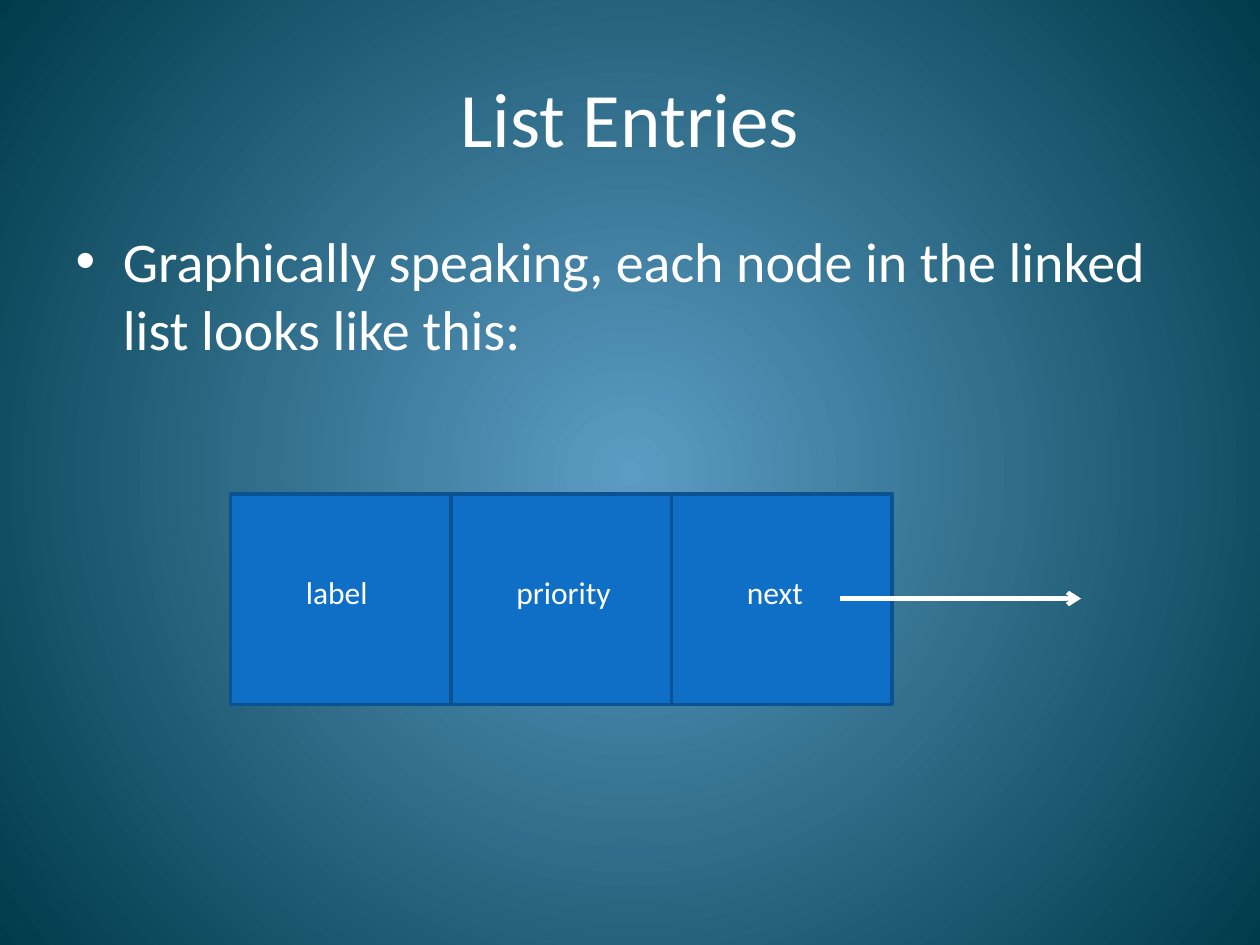
from lxml.etree import SubElement
from pptx import Presentation
from pptx.dml.color import RGBColor
from pptx.enum.shapes import MSO_CONNECTOR as Connector, MSO_SHAPE as Shape
from pptx.enum.text import MSO_ANCHOR as Anchor, MSO_AUTO_SIZE as AutoSize, PP_ALIGN as Align
from pptx.oxml.ns import qn
from pptx.util import Inches, Pt

FONT = "Calibri"
WHITE = "FFFFFF"
CELL_FILL = "0F6FC6"
CELL_LINE = "0B5292"
GLOW_CENTER = "5C9CC4"
GLOW_EDGE = "003B4B"

CELL_LEFT, CELL_TOP = 1.83, 3.92
CELL_WIDTH, CELL_HEIGHT = 1.75, 1.67
LABEL_TOP, LABEL_HEIGHT = 4.5, 0.4
# Each field of the node: name, label left, label width
FIELDS = [("label", 2.33, 0.7), ("priority", 4, 0.96), ("next", 5.83, 0.65)]


def color(hex_string):
    return RGBColor.from_string(hex_string)


def place(shape, left, top, width, height):
    shape.left, shape.top = Inches(left), Inches(top)
    shape.width, shape.height = Inches(width), Inches(height)


def add_run(paragraph, text, size):
    run = paragraph.add_run()
    run.text = text
    run.font.name = FONT
    run.font.size = Pt(size)
    run.font.color.rgb = color(WHITE)


def set_radial_background(slide, center, edge):
    fill = slide.background.fill
    fill.gradient()
    for stop, hex_string in zip(fill.gradient_stops, (center, edge)):
        stop.color.rgb = color(hex_string)
    # Swap the linear direction for a circle around the middle
    gradient = slide.element.find(".//" + qn("a:gradFill"))
    linear = gradient.find(qn("a:lin"))
    if linear is not None:
        gradient.remove(linear)
    circle = SubElement(gradient, qn("a:path"), {"path": "circle"})
    sides = {side: "50000" for side in "ltrb"}
    SubElement(circle, qn("a:fillToRect"), sides)


def fill_title(slide, text):
    title = slide.shapes.title
    place(title, 0.5, 0.3, 9, 1.25)
    title.text_frame.vertical_anchor = Anchor.MIDDLE
    paragraph = title.text_frame.paragraphs[0]
    paragraph.alignment = Align.CENTER
    add_run(paragraph, text, 44)


def fill_body(slide, text):
    # Bullet, indent and spacing come from the template
    body = slide.placeholders[1]
    place(body, 0.5, 1.75, 9, 1.5)
    add_run(body.text_frame.paragraphs[0], text, 32)


def add_cell(slide, left):
    cell = slide.shapes.add_shape(
        Shape.RECTANGLE, Inches(left), Inches(CELL_TOP),
        Inches(CELL_WIDTH), Inches(CELL_HEIGHT))
    cell.shadow.inherit = False
    cell.fill.solid()
    cell.fill.fore_color.rgb = color(CELL_FILL)
    cell.line.color.rgb = color(CELL_LINE)
    cell.line.width = Pt(2)


def add_label(slide, text, left, width):
    label = slide.shapes.add_textbox(
        Inches(left), Inches(LABEL_TOP), Inches(width), Inches(LABEL_HEIGHT))
    label.text_frame.word_wrap = False
    label.text_frame.auto_size = AutoSize.SHAPE_TO_FIT_TEXT
    add_run(label.text_frame.paragraphs[0], text, 18)


def add_arrow(slide, start, end, y):
    arrow = slide.shapes.add_connector(
        Connector.STRAIGHT, Inches(start), Inches(y), Inches(end), Inches(y))
    arrow.line.color.rgb = color(WHITE)
    arrow.line.width = Pt(2.5)
    SubElement(arrow.line._get_or_add_ln(), qn("a:tailEnd"), {"type": "arrow"})
    SubElement(arrow.element.spPr, qn("a:effectLst"))


def main():
    presentation = Presentation()
    presentation.slide_width = Inches(10)
    presentation.slide_height = Inches(7.5)
    slide = presentation.slides.add_slide(presentation.slide_layouts[1])

    # Background and text
    set_radial_background(slide, GLOW_CENTER, GLOW_EDGE)
    fill_title(slide, "List Entries")
    fill_body(slide, "Graphically speaking, each node in the linked list looks like this:")

    # List node: cells, field names and the pointer to the next node
    for index in range(len(FIELDS)):
        add_cell(slide, CELL_LEFT + index * CELL_WIDTH)
    for name, left, width in FIELDS:
        add_label(slide, name, left, width)
    add_arrow(slide, 6.67, 8.58, 4.75)

    presentation.save("out.pptx")


main()
